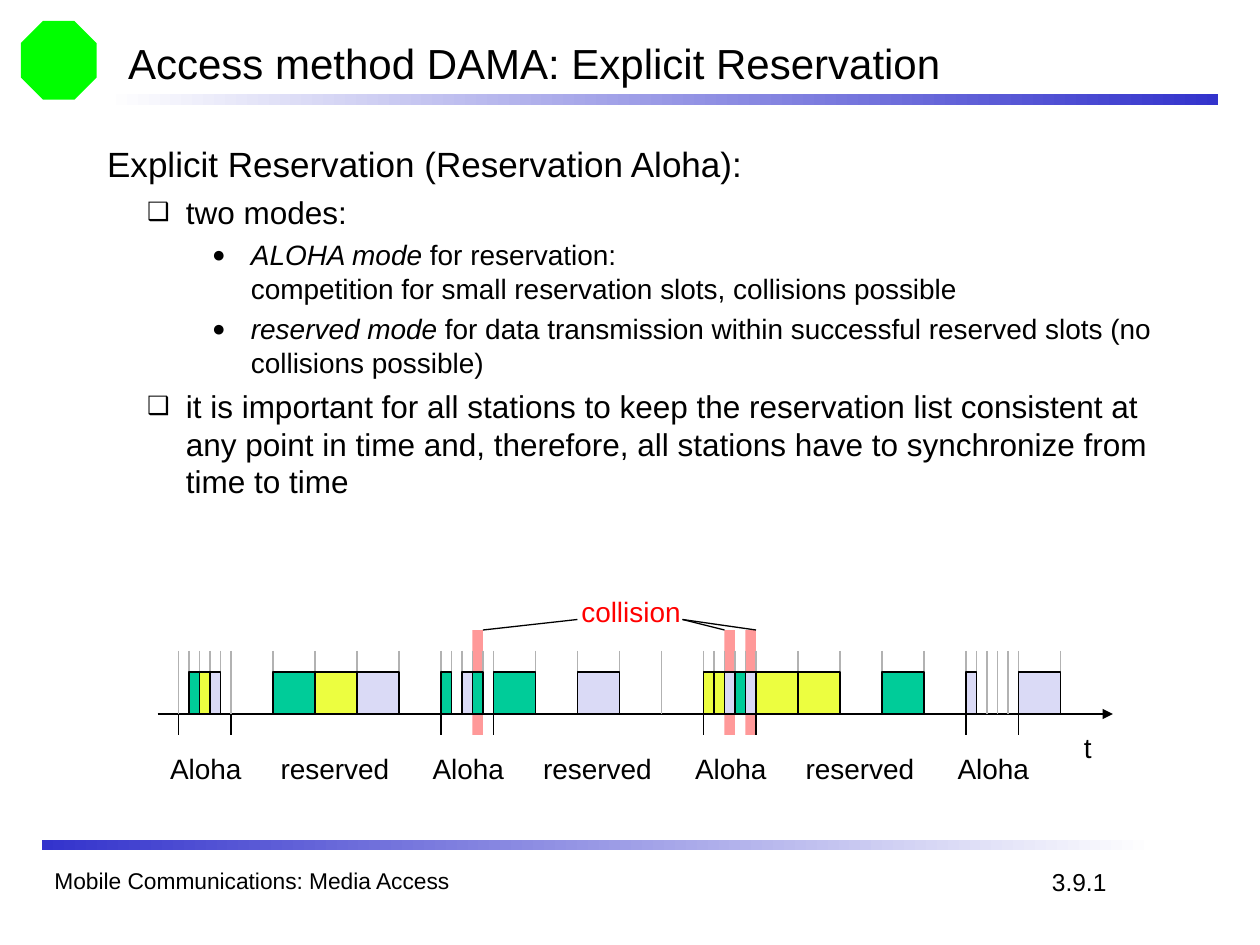
from dataclasses import dataclass

from lxml import etree
from pptx import Presentation
from pptx import util as u
from pptx.dml.color import RGBColor
from pptx.enum import shapes, text
from pptx.oxml import ns

PX = 7620  # EMU per px: 120 px to the inch


@dataclass(frozen=True)
class Theme:
    font: str = "Arial"
    ink: str = "000000"
    alert: str = "FF0000"
    clash: str = "FF9999"
    tick: str = "B2B2B2"
    bar: str = "3333CC"
    paper: str = "FFFFFF"
    emblem: str = "00FF00"
    green: str = "00CC99"
    yellow: str = "ECFE40"
    lilac: str = "DADAF6"
    title: float = 24
    levels: tuple = (20, 18, 16)
    label: float = 16
    footer: float = 13
    number: float = 14
    stroke: float = 0.75


THEME = Theme()
STATIONS = {"G": THEME.green, "Y": THEME.yellow, "L": THEME.lilac}

# Per level: left margin, first-line indent, space before, bullet
OUTLINE = ((12, -12, 5, None), (75, -37, 4.5, "❑"), (137, -37, 4, "●"))
BODY = (
    (0, [("Explicit Reservation (Reservation Aloha):", False)]),
    (1, [("two modes:", False)]),
    (2, [("ALOHA mode", True),
         (" for reservation:\ncompetition for small reservation slots, "
          "collisions possible", False)]),
    (2, [("reserved mode", True),
         (" for data transmission within successful reserved slots "
          "(no collisions possible)", False)]),
    (1, [("it is important for all stations to keep the reservation list "
          "consistent at any point in time and, therefore, all stations have "
          "to synchronize from time to time", False)]),
)

# Per frame: Aloha slots, data slots, indexes of the collided Aloha slots
FRAMES = (
    (".GYL.", ".GYL.", ()),
    ("G.LG.", "G.L..", (3,)),
    ("YYLGL", "YY.G.", (2, 4)),
    ("L....", "L", ()),
)
FRAME_LEFT, FRAME_STEP = 170, 250
SLOT, DATA = 10, 40
AXIS, TICK_TOP, BLOCK_TOP, BAND_TOP, MARK_END = 680, 620, 640, 600, 700
LABEL_TOP, LABEL_H = 710, 44


def rgb(color):
    return RGBColor.from_string(color)


def add_text(p, content, size=THEME.label, color=THEME.ink, italic=False):
    for i, line in enumerate(content.split("\n")):
        if i:
            p.add_line_break()
        r = p.add_run()
        r.text = line
        r.font.name = THEME.font
        r.font.size = u.Pt(size)
        r.font.italic = italic
        r.font.color.rgb = rgb(color)


def add_xml(parent, tag, **attrs):
    return etree.SubElement(parent, ns.qn(tag), attrs)


class Builder:
    def __init__(self, s, theme):
        self.s, self.theme = s, theme

    def place(self, sp, x, y, w, h):
        sp.left, sp.top, sp.width, sp.height = (v * PX for v in (x, y, w, h))

    def title(self, content, *box):
        sp = self.s.shapes.title
        self.place(sp, *box)
        tf = sp.text_frame
        tf.auto_size = text.MSO_AUTO_SIZE.NONE
        tf.vertical_anchor = text.MSO_ANCHOR.BOTTOM
        p = tf.paragraphs[0]
        p.alignment = text.PP_ALIGN.LEFT
        add_text(p, content, size=self.theme.title)

    def body(self, paragraphs, *box):
        sp = self.s.placeholders[1]
        self.place(sp, *box)
        tf = sp.text_frame
        tf.auto_size = text.MSO_AUTO_SIZE.NONE
        for i, (level, runs) in enumerate(paragraphs):
            p = tf.add_paragraph() if i else tf.paragraphs[0]
            margin, indent, before, bullet = OUTLINE[level]
            p.level = level
            p.space_before = u.Pt(before)
            self.bullet(p, margin, indent, bullet)
            for content, italic in runs:
                add_text(p, content, size=self.theme.levels[level], italic=italic)

    def bullet(self, p, margin, indent, char):
        pPr = p._p.get_or_add_pPr()
        pPr.set("marL", str(margin * PX))
        pPr.set("indent", str(indent * PX))
        if char is None:
            add_xml(pPr, "a:buNone")
            return
        add_xml(add_xml(pPr, "a:buClr"), "a:srgbClr", val=self.theme.ink)
        add_xml(pPr, "a:buSzPct", val="80000")
        add_xml(pPr, "a:buFont", typeface=self.theme.font)
        add_xml(pPr, "a:buChar", char=char)

    def shape(self, x, y, w, h, fill, line=None, kind="RECTANGLE"):
        """Draw a preset shape; a pair of fill colours makes a gradient."""
        sp = self.s.shapes.add_shape(shapes.MSO_SHAPE[kind], 0, 0, 0, 0)
        self.place(sp, x, y, w, h)
        sp.shadow.inherit = False
        if isinstance(fill, tuple):
            sp.fill.gradient()
            sp.fill.gradient_angle = 0
            for position, (stop, color) in enumerate(zip(sp.fill.gradient_stops, fill)):
                stop.position, stop.color.rgb = position, rgb(color)
        else:
            sp.fill.solid()
            sp.fill.fore_color.rgb = rgb(fill)
        if line:
            sp.line.color.rgb = rgb(line)
            sp.line.width = u.Pt(self.theme.stroke)
        else:
            sp.line.fill.background()

    def line(self, x1, y1, x2, y2, color=THEME.ink, arrow=False):
        c = self.s.shapes.add_connector(
            shapes.MSO_CONNECTOR.STRAIGHT, *(v * PX for v in (x1, y1, x2, y2)))
        c.line.color.rgb = rgb(color)
        c.line.width = u.Pt(self.theme.stroke)
        if arrow:
            add_xml(c.line._get_or_add_ln(), "a:tailEnd", type="triangle")
        add_xml(c._element.spPr, "a:effectLst")

    def note(self, content, x, y, w, h, **fmt):
        """Add left-aligned text that starts at the top of its box."""
        tf = self.s.shapes.add_textbox(*(v * PX for v in (x, y, w, h))).text_frame
        tf.word_wrap = True
        add_text(tf.paragraphs[0], content, **fmt)
        return tf

    def label(self, content, center, y, w, **fmt):
        tf = self.note(content, center - w // 2, y, w, LABEL_H, **fmt)
        tf.word_wrap = False
        tf.auto_size = text.MSO_AUTO_SIZE.SHAPE_TO_FIT_TEXT
        tf.vertical_anchor = text.MSO_ANCHOR.MIDDLE
        tf.paragraphs[0].alignment = text.PP_ALIGN.CENTER


def draw_timeline(b):
    t = b.theme
    lefts = [FRAME_LEFT + i * FRAME_STEP for i in range(len(FRAMES))]
    for left, (_, _, clashes) in zip(lefts, FRAMES):
        for i in clashes:
            b.shape(left + i * SLOT, BAND_TOP, SLOT, MARK_END - BAND_TOP, t.clash)
    b.line(150, AXIS, 1060, AXIS, arrow=True)

    for left, (aloha, data, _) in zip(lefts, FRAMES):
        middle = left + len(aloha) * SLOT
        end = middle + len(data) * DATA
        slots = [(left + i * SLOT, SLOT, key) for i, key in enumerate(aloha)]
        slots += [(middle + i * DATA, DATA, key) for i, key in enumerate(data)]
        ticks = [x for x, _, _ in slots]
        if end not in lefts:
            ticks.append(end)
        for x in ticks:
            b.line(x, TICK_TOP, x, AXIS, color=t.tick)
        for x in (left, middle):
            b.line(x, AXIS, x, MARK_END)
        for x, w, key in slots:
            if key in STATIONS:
                b.shape(x, BLOCK_TOP, w, AXIS - BLOCK_TOP, STATIONS[key], line=t.ink)
        b.label("Aloha", left + 26, LABEL_TOP, 92)
        if len(data) > 1:
            b.label("reserved", left + 149, LABEL_TOP, 128)

    b.label("collision", 601, 560, 122, color=t.alert)
    for label_x, clash_x in ((550, 460), (650, 690), (650, 720)):
        b.line(label_x, 590, clash_x, BAND_TOP)
    b.label("t", 1036, 690, 32)


def main():
    prs = Presentation()
    prs.slide_width, prs.slide_height = 1200 * PX, 900 * PX
    b = Builder(prs.slides.add_slide(prs.slide_layouts[1]), THEME)
    b.shape(20, 20, 72, 75, THEME.emblem, kind="OCTAGON")
    b.shape(100, 90, 1060, 10, (THEME.paper, THEME.bar))
    b.shape(40, 800, 1060, 10, (THEME.bar, THEME.paper))
    b.title("Access method DAMA: Explicit Reservation", 110, 30, 1020, 60)
    b.body(BODY, 90, 130, 1020, 400)
    draw_timeline(b)
    b.note("Mobile Communications: Media Access", 40, 820, 580, 40, size=THEME.footer)
    b.note("3.9.1", 990, 820, 76, 40, size=THEME.number)
    prs.save("out.pptx")


if __name__ == "__main__":
    main()
